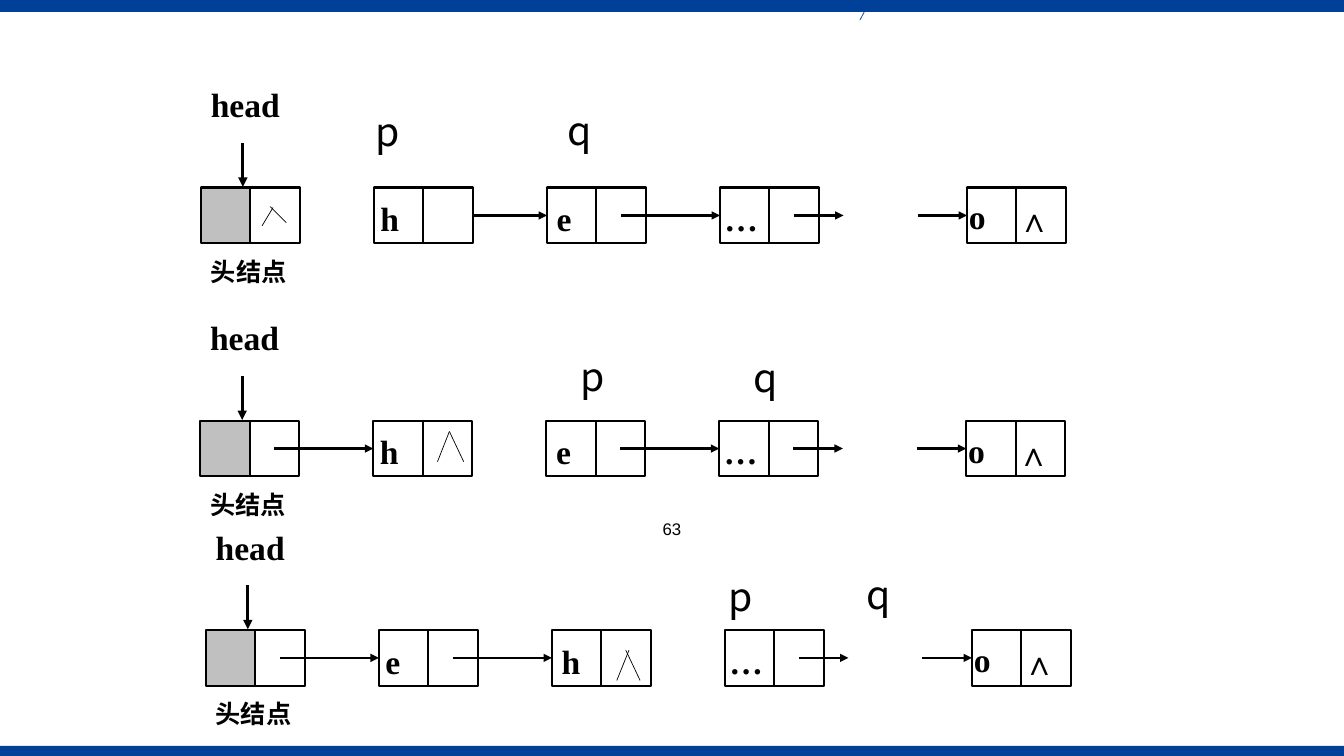
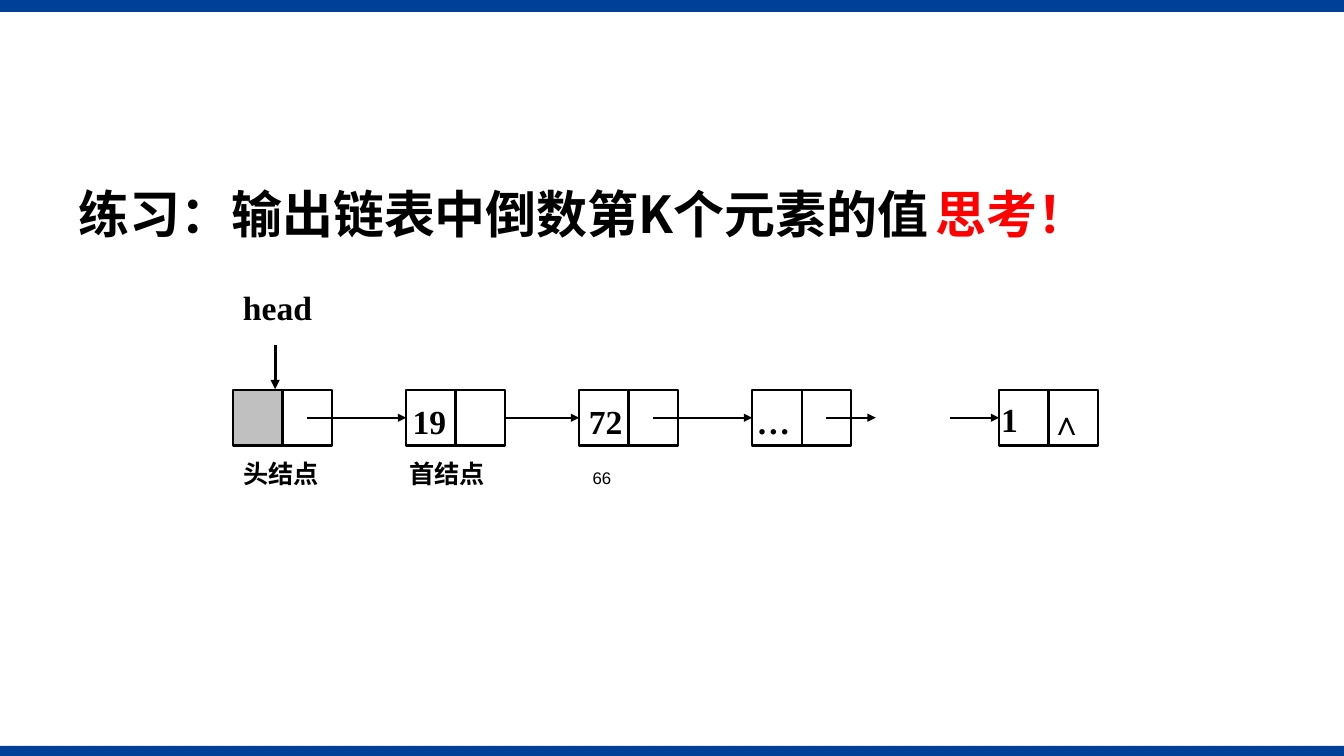
from lxml import etree
from pptx import Presentation
from pptx import util as u
from pptx.dml.color import RGBColor
from pptx.enum import shapes, text
from pptx.oxml import ns

COLORS = {"band": "004098", "ink": "000000", "head": "C0C0C0", "accent": "FF0000"}
SANS, SERIF = "Noto Sans CJK SC", "Times New Roman"
FORMATS = {
    "value": {"name": SERIF, "size": u.Pt(24), "bold": True},
    "caption": {"name": SERIF, "size": u.Pt(18), "bold": True},
    "pointer": {"name": SANS, "size": u.Pt(28), "bold": False},
    "number": {"name": "Arial", "size": u.Pt(12), "bold": False},
    "exercise": {"name": SANS, "size": u.Pt(36.4), "bold": True},
}
ALIGN, ANCHOR = text.PP_ALIGN, text.MSO_ANCHOR
WIDTH, HEIGHT = 960, 540
CELL_WIDTH, CELL_HEIGHT = 35.3, 39.8
NODE_STEP, LAST_NODE = 123.6, 547.2
# Offsets of each node's value inside its first cell: left, top, width
VALUE_PLACES = [(4.7, 5, 26.6), (7, 5, 26.6), (3.2, 5, 26.6), (1.4, 3.6, 38.2)]


def color(name):
    return RGBColor.from_string(COLORS[name])


def child(parent, tag, **attributes):
    return etree.SubElement(parent, ns.qn(tag), attributes)


class Deck:
    def __init__(self):
        self.presentation = Presentation()
        self.presentation.slide_width = u.Pt(WIDTH)
        self.presentation.slide_height = u.Pt(HEIGHT)
        self.slide = None

    def new_slide(self, layout):
        self.slide = self.presentation.slides.add_slide(
            self.presentation.slide_layouts[layout])
        for top, height in ((HEIGHT - 7.2, 7.2), (0, 8.6)):
            self.box(0, top, WIDTH, height, fill="band")

    def box(self, left, top, width, height, fill=None, line=None):
        shape = self.slide.shapes.add_shape(
            shapes.MSO_SHAPE.RECTANGLE, *map(u.Pt, (left, top, width, height)))
        shape.shadow.inherit = False
        if fill:
            shape.fill.solid()
            shape.fill.fore_color.rgb = color(fill)
        else:
            shape.fill.background()
        if line:
            shape.line.color.rgb = color(line)
            shape.line.width = u.Pt(1.5)
        else:
            shape.line.fill.background()
        return shape

    def line(self, start, end, weight=0.5, ink="ink", arrow=False):
        connector = self.slide.shapes.add_connector(
            shapes.MSO_CONNECTOR.STRAIGHT, *map(u.Pt, (*start, *end)))
        connector.line.color.rgb = color(ink)
        connector.line.width = u.Pt(weight)
        if arrow:
            child(connector.line._get_or_add_ln(), "a:tailEnd", type="triangle")
        child(connector._element.spPr, "a:effectLst")
        return connector

    def run(self, paragraph, words, style, ink="ink"):
        run = paragraph.add_run()
        run.text = words
        for attribute, value in FORMATS[style].items():
            setattr(run.font, attribute, value)
        run.font.color.rgb = color(ink)
        child(run.font._element, "a:ea", typeface=SANS)

    def text(self, words, left, top, width, height, style, align=ALIGN.LEFT,
             anchor=ANCHOR.MIDDLE, inset=True):
        shape = self.slide.shapes.add_textbox(*map(u.Pt, (left, top, width, height)))
        frame = shape.text_frame
        frame.word_wrap = True
        frame.vertical_anchor = anchor
        if not inset:
            for side in ("left", "top", "right", "bottom"):
                setattr(frame, f"margin_{side}", 0)
        paragraph = frame.paragraphs[0]
        paragraph.alignment = align
        self.run(paragraph, words, style)

    def exercise(self, words, remark):
        """Body line with a remark set off by a tab stop."""
        self.slide.shapes.title._element.getparent().remove(
            self.slide.shapes.title._element)
        body = self.slide.placeholders[1]
        places = {"left": 49, "top": 132, "width": 830, "height": 59}
        for attribute, value in places.items():
            setattr(body, attribute, u.Pt(value))
        frame = body.text_frame
        frame.auto_size = text.MSO_AUTO_SIZE.NONE
        frame.vertical_anchor = ANCHOR.TOP
        paragraph = frame.paragraphs[0]
        paragraph.line_spacing = 0.9
        paragraph.space_before = u.Pt(0)
        properties = paragraph._p.get_or_add_pPr()
        properties.set("marL", "0")
        properties.set("indent", "0")
        child(properties, "a:buNone")
        child(child(properties, "a:tabLst"), "a:tab", pos=str(u.Pt(649)), algn="l")
        self.run(paragraph, words + "\t", "exercise")
        self.run(paragraph, remark, "exercise", "accent")

    def number(self, words, left, top):
        self.text(words, left, top, 228, 36, "number", ALIGN.CENTER, ANCHOR.TOP)

    def node(self, left, top, fill=None):
        return [self.box(left + i * CELL_WIDTH, top, CELL_WIDTH, CELL_HEIGHT,
                         None if i else fill, "ink") for i in range(2)]

    def chain(self, left, top, values, links):
        """Linked list; each link starts at a cell's "middle" or "edge", or is None."""
        offsets = [NODE_STEP * i for i in range(4)] + [LAST_NODE]
        nodes = [self.node(left + offset, top, None if offset else "head")
                 for offset in offsets]
        center = top + CELL_HEIGHT / 2
        middle = 1.5 * CELL_WIDTH

        # Links between neighbours
        for i, link in enumerate(links):
            if link:
                reach = middle if link == "middle" else 2 * CELL_WIDTH
                connector = self.line((left + offsets[i] + reach, center),
                                      (left + offsets[i + 1], center), 1.5, arrow=True)
                if link == "edge":
                    connector.begin_connect(nodes[i][1], 3)
                connector.end_connect(nodes[i + 1][0], 1)

        # Open links around the gap before the last node
        start = left + offsets[3] + middle
        self.line((start, center), (start + CELL_WIDTH, center), 1.5, arrow=True)
        end = left + LAST_NODE
        self.line((end - CELL_WIDTH, center), (end, center), 1.5,
                  arrow=True).end_connect(nodes[4][0], 1)

        # Values and the end mark
        for value, offset, (x, y, width) in zip(values, offsets[1:], VALUE_PLACES):
            self.text(value, left + offset + x, top + y, width, 34, "value",
                      ALIGN.JUSTIFY, inset=False)
        self.text("∧", end + CELL_WIDTH + 0.9, top + 5.8, 26.6, 34, "value",
                  ALIGN.JUSTIFY, inset=False)

        # Head pointer and caption
        self.text("head", left, top - 79.5, 75, 40, "value", ALIGN.JUSTIFY)
        self.line((left + 30, top - 32), (left + 30, top - 0.5), 2.25, arrow=True)
        self.caption("头结点", left, top)

    def caption(self, words, left, top):
        self.text(words, left, top + 45.4, 73.4, 29, "caption")


def reversal_slide(deck):
    deck.new_slide(6)
    deck.number("63", 366, 367)
    for left, top, values, links in (
            (143.5, 134, "he…o", (None, "edge", "middle")),
            (143, 300.5, "he…o", ("middle", None, "middle")),
            (147, 450, "eh…o", ("middle", "middle", None))):
        deck.chain(left, top, values, links)
    for name, left, top in (("p", 261.4, 72.7), ("q", 398.2, 72),
                            ("p", 407.5, 247.7), ("q", 531.4, 248.4),
                            ("p", 513.4, 405.4), ("q", 612, 404)):
        deck.text(name, left, top, 50, 41, "pointer")
    # Hand-drawn end marks
    for start, end in (((195, 148.3), (187.2, 161.3)), ((193, 147.6), (204.5, 159)),
                       ((321, 308.2), (312.5, 329.8)), ((321, 308.2), (331.2, 329.8)),
                       ((449.3, 464.4), (440.6, 486)), ((447, 464.4), (457.2, 486))):
        deck.line(start, end)
    deck.line((619.2, 5), (614.2, 14.4), ink="band")


def exercise_slide(deck):
    deck.new_slide(1)
    deck.exercise("练习：输出链表中倒数第K个元素的值", "思考！")
    deck.number("66", 316, 330.5)
    deck.chain(166.5, 278.5, ("19", "72", "…", "1"), ("middle", "edge", "middle"))
    deck.caption("首结点", 285.2, 278.5)


def main():
    deck = Deck()
    reversal_slide(deck)
    exercise_slide(deck)
    deck.presentation.save("out.pptx")


if __name__ == "__main__":
    main()
